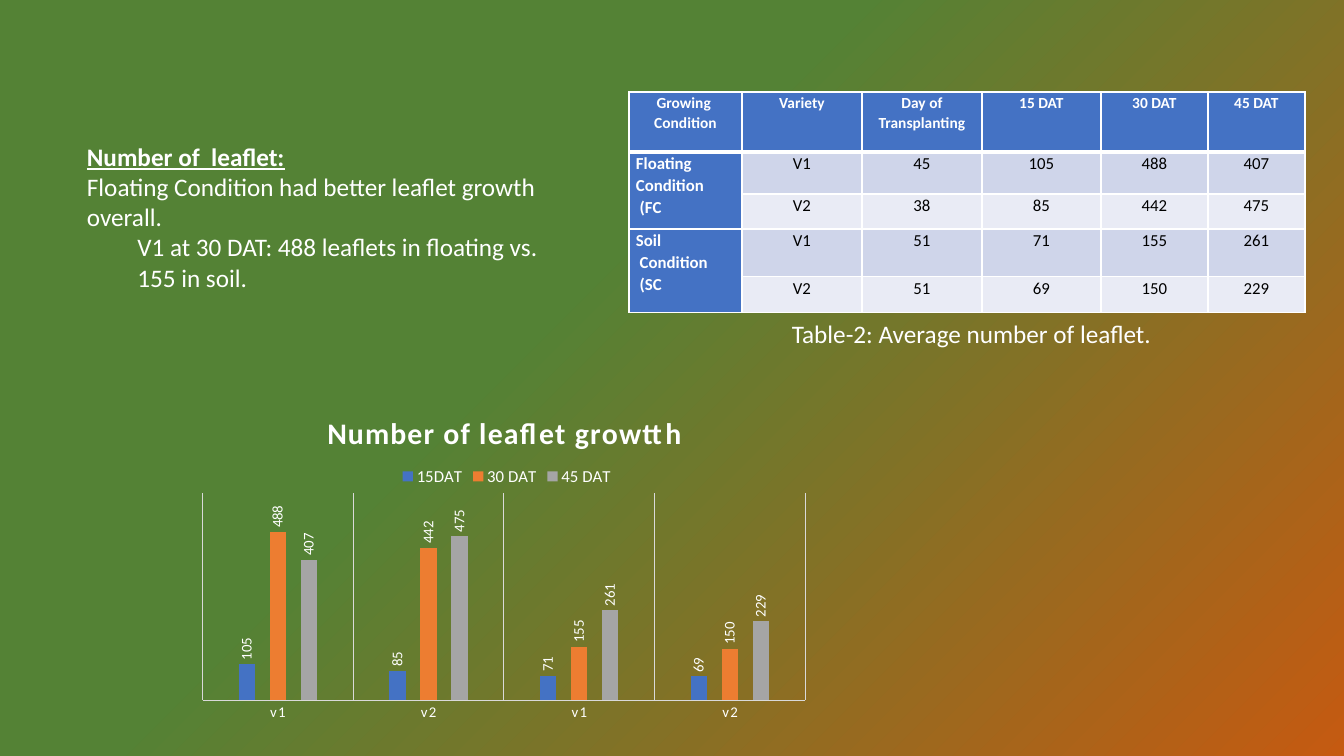
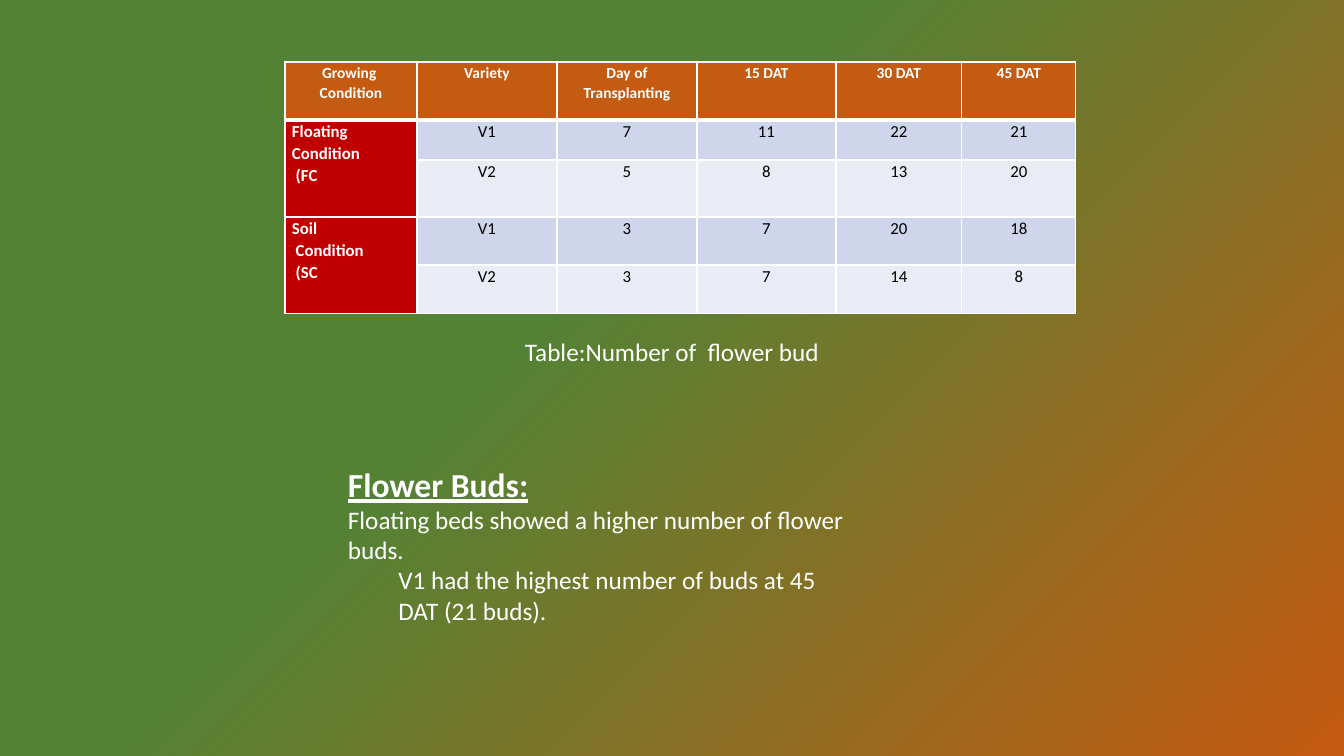
import lxml.etree
import pptx
import pptx.chart.data
import pptx.dml.color
import pptx.enum.chart
import pptx.enum.text
import pptx.oxml
import pptx.oxml.ns
import pptx.util

PX = 9071  # EMU in one px; the slide is 1344 px wide
FONT = "Calibri"
COLOURS = {
    "white": "FFFFFF",
    "black": "000000",
    "green": "548235",
    "rust": "C55A11",
    "red": "C00000",
    "blue": "4472C4",
    "orange": "ED7D31",
    "grey": "A5A5A5",
    "rule": "D9D9D9",
    "band dark": "CFD5EA",
    "band light": "E9EBF5",
}
RGB = {name: pptx.dml.color.RGBColor.from_string(value) for name, value in COLOURS.items()}
qn = pptx.oxml.ns.qn
ALIGN = pptx.enum.text.PP_ALIGN
HEADINGS = ["Growing  Condition", "Variety", "Day of Transplanting", "15 DAT", "30 DAT", "45 DAT"]
CONDITIONS = {1: "Floating \nCondition\n (FC", 3: "Soil\n Condition\n (SC"}


def add_text(page, left, top, width, height, lines):
    """Add a white text box; each line is (text, size, is_heading, level)."""
    box = page.shapes.add_textbox(left * PX, top * PX, width * PX, height * PX)
    frame = box.text_frame
    frame.word_wrap = True
    frame.auto_size = pptx.enum.text.MSO_AUTO_SIZE.SHAPE_TO_FIT_TEXT
    frame.text = "\n".join(line[0] for line in lines)
    for para, (_, size, is_heading, level) in zip(frame.paragraphs, lines):
        para.level = level
        font = para.runs[0].font
        font.name, font.size = FONT, pptx.util.Pt(size)
        font.bold = font.underline = is_heading
        font.color.rgb = RGB["white"]


def add_growth_table(page, left, top, widths, heights, values, head_fill, side_fill):
    """Add the table of both growing conditions; values holds four rows of counts."""
    table = page.shapes.add_table(len(heights), len(widths), left * PX, top * PX,
                                  sum(widths) * PX, sum(heights) * PX).table
    for column, width in zip(table.columns, widths):
        column.width = width * PX
    for row, height in zip(table.rows, heights):
        row.height = height * PX
    texts = [HEADINGS]
    for number, counts in enumerate(values, 1):
        texts.append([CONDITIONS.get(number, ""), "V1" if number % 2 else "V2", *map(str, counts)])
    for r, row_texts in enumerate(texts):
        for c, text in enumerate(row_texts):
            is_head, is_side = r == 0, r > 0 and c == 0
            cell = table.cell(r, c)
            cell.margin_left = cell.margin_right = 7 * PX
            cell.margin_top = cell.margin_bottom = 0
            cell.text_frame.text = text
            for para in cell.text_frame.paragraphs:
                para.alignment = ALIGN.JUSTIFY if is_side else ALIGN.CENTER
                para.line_spacing = 1.07
                for span in para.runs:
                    span.font.name = FONT
                    span.font.size = pptx.util.Pt(11 if is_head else 12)
                    span.font.bold = is_head or is_side
                    span.font.color.rgb = RGB["white" if is_head or is_side else "black"]
            properties = cell._tc.get_or_add_tcPr()
            for side in ("lnL", "lnR", "lnT", "lnB"):
                is_thick = (r, side) in ((0, "lnB"), (1, "lnT"))
                line = lxml.etree.SubElement(properties, qn("a:" + side),
                                             w=str(pptx.util.Pt(3 if is_thick else 1)))
                fill = lxml.etree.SubElement(line, qn("a:solidFill"))
                lxml.etree.SubElement(fill, qn("a:srgbClr"), val=COLOURS["white"])
            band = "band dark" if r % 2 else "band light"
            cell.fill.solid()
            cell.fill.fore_color.rgb = RGB[head_fill if is_head else side_fill if is_side else band]
    for r in CONDITIONS:
        table.cell(r, 0).merge(table.cell(r + 1, 0))


deck = pptx.Presentation()
deck.slide_width, deck.slide_height = 1344 * PX, 756 * PX
blank = deck.slide_layouts[6]

# Shared background: a radial gradient from the bottom right corner
master = deck.slide_master
backdrop = master.background.fill
backdrop.gradient()
for stop, (position, colour) in zip(backdrop.gradient_stops, ((0, "rust"), (0.59, "green"))):
    stop.position = position
    stop.color.rgb = RGB[colour]
gradient = master.element.xpath("p:cSld/p:bg//a:gradFill")[0]
for linear in gradient.findall(qn("a:lin")):
    gradient.remove(linear)
circle = lxml.etree.SubElement(gradient, qn("a:path"), {"path": "circle"})
lxml.etree.SubElement(circle, qn("a:fillToRect"), l="100000", t="100000")
lxml.etree.SubElement(gradient, qn("a:tileRect"), r="-100000", b="-100000")

# Slide 1: leaflets
page = deck.slides.add_slide(blank)
leaflets = [(45, 105, 488, 407), (38, 85, 442, 475), (51, 71, 155, 261), (51, 69, 150, 229)]
add_growth_table(page, 629, 92, [113, 120, 120, 119, 107, 97], [60, 42, 35, 48, 36],
                 leaflets, "blue", "blue")
add_text(page, 782, 313, 431, 40, [("Table-2: Average number of leaflet.", 18, False, 0)])
add_text(page, 77, 136, 479, 163, [
    ("Number of  leaflet:", 18, True, 0),
    ("Floating Condition had better leaflet growth overall.", 18, False, 0),
    ("V1 at 30 DAT: 488 leaflets in floating vs. 155 in soil.", 18, False, 1),
])

chart_data = pptx.chart.data.CategoryChartData()
chart_data.categories = ["v1", "v2", "v1", "v2"]
for column, name in enumerate(("15DAT", "30 DAT", "45 DAT"), 1):
    chart_data.add_series(name, [counts[column] for counts in leaflets])
chart = page.shapes.add_chart(pptx.enum.chart.XL_CHART_TYPE.COLUMN_CLUSTERED,
                              190 * PX, 383 * PX, 628 * PX, 345 * PX, chart_data).chart
chart.font.name, chart.font.size = FONT, pptx.util.Pt(10)

chart.has_title = True
chart.chart_title.text_frame.text = "Number of leaflet growtth"
title = chart.chart_title.text_frame.paragraphs[0].runs[0]
title.font.bold = True
chart.has_legend = True
chart.legend.position = pptx.enum.chart.XL_LEGEND_POSITION.TOP
chart.legend.include_in_layout = False

chart.value_axis.visible = False
chart.value_axis.has_major_gridlines = False
chart.value_axis.minimum_scale, chart.value_axis.maximum_scale = 0, 600
axis = chart.category_axis
axis.major_tick_mark = pptx.enum.chart.XL_TICK_MARK.NONE
axis.has_major_gridlines = True
for line in (axis.format.line, axis.major_gridlines.format.line):
    line.color.rgb = RGB["rule"]
    line.width = pptx.util.Pt(0.75)

plot = chart.plots[0]
plot.vary_by_categories = False
plot.gap_width, plot.overlap = 444, -90
chart_fonts = [(title.font, 21.3), (chart.legend.font, 12), (axis.tick_labels.font, 10.6)]
for series, colour in zip(plot.series, ("blue", "orange", "grey")):
    series.format.fill.solid()
    series.format.fill.fore_color.rgb = RGB[colour]
    labels = series.data_labels
    labels.show_value = True
    labels.position = pptx.enum.chart.XL_LABEL_POSITION.OUTSIDE_END
    chart_fonts.append((labels.font, 10.6))
for font, size in chart_fonts:
    font.name, font.size = FONT, pptx.util.Pt(size)
    font.color.rgb = RGB["white"]

# Upright value labels, and wider letter spacing in title and axis
for body in chart.element.xpath(".//c:dLbls/c:txPr/a:bodyPr"):
    body.set("rot", "-5400000")
    body.set("vert", "horz")
for letters in chart.element.xpath(".//c:catAx//a:defRPr | .//c:title//a:rPr"):
    letters.set("spc", "100")

# Fixed places of the chart parts, as fractions of the chart
placements = [
    ("title", 1, {"x": 0.21, "y": 0.07}),
    ("legend", 1, {"x": 0.33, "y": 0.23}),
    ("plotArea", 0, {"x": 0.02, "y": 0.32, "w": 0.96, "h": 0.6}),
]
for name, index, fractions in placements:
    part = chart.element.xpath("c:chart/c:" + name)[0]
    for old_layout in part.findall(qn("c:layout")):
        part.remove(old_layout)
    layout = pptx.oxml.parse_xml("<c:layout %s/>" % pptx.oxml.ns.nsdecls("c"))
    part.insert(index, layout)
    manual = lxml.etree.SubElement(layout, qn("c:manualLayout"))
    if name == "plotArea":
        lxml.etree.SubElement(manual, qn("c:layoutTarget"), val="inner")
    for key in ("x", "y"):
        lxml.etree.SubElement(manual, qn("c:%sMode" % key), val="edge")
    for key, fraction in fractions.items():
        lxml.etree.SubElement(manual, qn("c:" + key), val=str(fraction))

# Slide 2: flower buds
page = deck.slides.add_slide(blank)
add_text(page, 338, 459, 522, 204, [
    ("Flower Buds:", 24, True, 0),
    ("Floating beds showed a higher number of flower buds.", 18, False, 0),
    ("V1 had the highest number of buds at 45 DAT (21 buds).", 18, False, 1),
])
buds = [(7, 11, 22, 21), (5, 8, 13, 20), (3, 7, 20, 18), (3, 7, 14, 8)]
add_growth_table(page, 285, 62, [132, 140, 140, 139, 126, 114], [58, 40, 57, 48, 49],
                 buds, "rust", "red")
add_text(page, 515, 331, 423, 40, [("Table:Number of  flower bud", 18, False, 0)])

deck.save("out.pptx")
